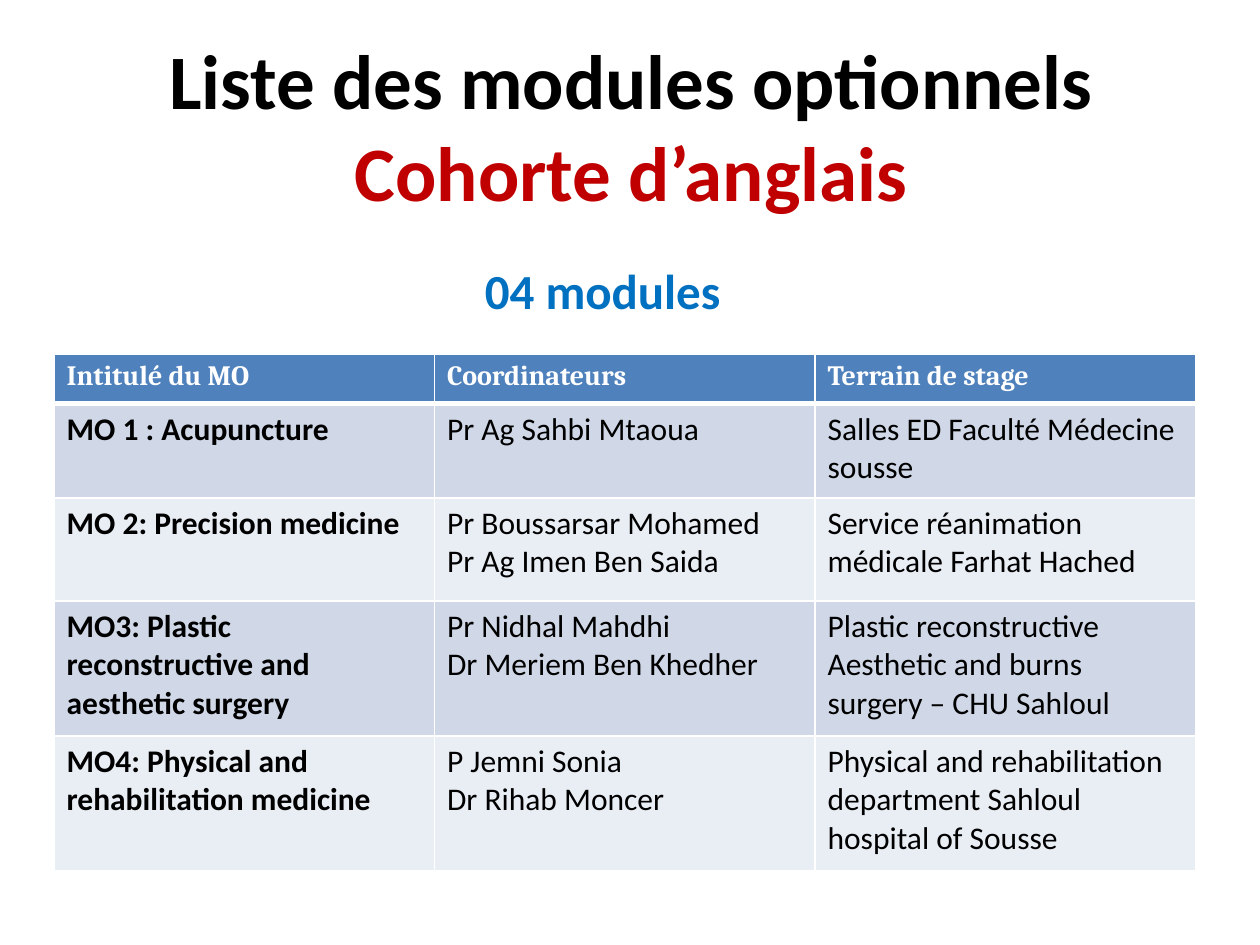
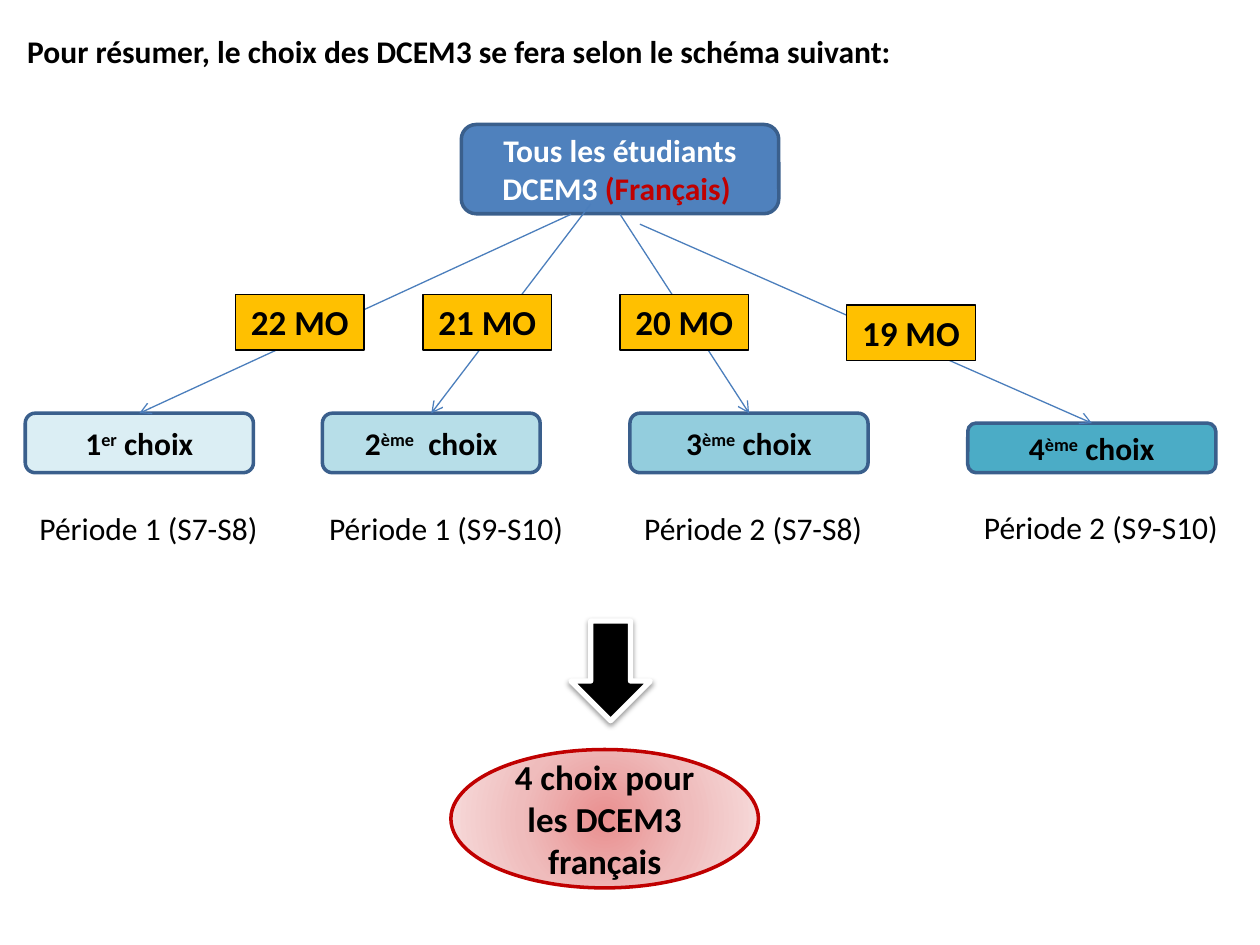
from lxml import etree
from pptx import Presentation
from pptx.dml.color import RGBColor
from pptx.enum.shapes import MSO_CONNECTOR as CONN, MSO_SHAPE as SHAPE
from pptx.enum.text import MSO_ANCHOR as ANCHOR, PP_ALIGN as ALIGN
from pptx.oxml import parse_xml
from pptx.oxml.ns import nsdecls, qn
from pptx.util import Cm, Pt

BLACK, WHITE, RED = "000000", "FFFFFF", "C00000"
BLUE, DARK_BLUE, LINE_BLUE, SKY = "4F81BD", "3A5F8C", "4B7EBC", "0070C0"
AMBER = "FFC000"
BANDS = ["D0D8E8", "E9EDF4"]
GLOW = [(0, "E98F8F"), (50, "EFBCBC"), (100, "F7DEDE")]

# Content; lengths are in centimetres
TITLE = ["Liste des modules optionnels", [("Cohorte d’anglais", {"color": RED})]]
SUBTITLE = ["04 modules "]
HEADER = ["Intitulé du MO", "Coordinateurs", "Terrain de stage"]
MODULES = [
    ("MO 1 : Acupuncture", ["Pr Ag Sahbi Mtaoua"],
     "Salles ED Faculté Médecine sousse"),
    ("MO 2: Precision medicine", ["Pr Boussarsar Mohamed", "Pr Ag Imen Ben Saida"],
     "Service réanimation médicale Farhat Hached"),
    ("MO3: Plastic reconstructive and aesthetic surgery",
     ["Pr Nidhal Mahdhi", "Dr Meriem Ben Khedher"],
     "Plastic reconstructive Aesthetic and burns surgery – CHU Sahloul"),
    ("MO4: Physical and rehabilitation medicine", ["P Jemni Sonia", "Dr Rihab Moncer"],
     "Physical and rehabilitation department Sahloul hospital of Sousse"),
]
ROW_HEIGHTS = [1.0, 1.9, 2.08, 2.72, 2.72]
COL_WIDTH = 7.67

HEADING = ["Pour résumer, le choix des DCEM3 se fera selon le schéma suivant:"]
ROOT = ["Tous les étudiants", ["DCEM3 ", ("(Français) ", {"color": RED})]]
RESULT = ["4 choix pour les DCEM3 français"]
CHOICE_BOTTOM = 9.53
BRANCHES = [
    dict(rank="1", suffix="er", rest=" choix", fill="DBEEF4", left=0.51, top=8.33, width=4.6,
         start=(11.51, 4.32), badge="22 MO", badge_at=(4.75, 5.94),
         period="Période 1 (S7-S8)", period_at=(0.1, 10.13)),
    dict(rank="2", suffix="ème", rest="  choix", fill="B7DEE8", left=6.5, top=8.33, width=4.39,
         start=(11.91, 4.11), badge="21 MO", badge_at=(8.53, 5.94),
         period="Période 1 (S9-S10)", period_at=(6.1, 10.13)),
    dict(rank="3", suffix="ème", rest=" choix", fill="93CDDD", left=12.7, top=8.33, width=4.8,
         start=(12.5, 4.32), badge="20 MO", badge_at=(12.5, 5.94),
         period="Période 2 (S7-S8)", period_at=(12.29, 10.13)),
    dict(rank="4", suffix="ème", rest=" choix", fill="4BACC6", left=19.51, top=8.53, width=5,
         start=(12.9, 4.52), badge="19 MO", badge_at=(17.07, 6.15),
         period="Période 2 (S9-S10)", period_at=(19.3, 10.11)),
]


def rgb(color):
    return RGBColor.from_string(color)


def write(tf, paragraphs, size=18, color=BLACK, bold=False, font="Calibri", align=ALIGN.CENTER):
    """Each paragraph is a string or a list of runs; a run is a string or (text, changes)."""
    tf.word_wrap = True
    for i, runs in enumerate(paragraphs):
        p = tf.paragraphs[0] if i == 0 else tf.add_paragraph()
        p.alignment = align
        for run in [runs] if isinstance(runs, str) else runs:
            text, changes = (run, {}) if isinstance(run, str) else run
            r = p.add_run()
            r.text = text
            r.font.name, r.font.size, r.font.bold = font, Pt(size), bold
            r.font.color.rgb = rgb(changes.get("color", color))
            if changes.get("superscript"):
                r._r.get_or_add_rPr().set("baseline", "30000")


def add_text(s, at, paragraphs, **fmt):
    sp = s.shapes.add_textbox(*map(Cm, at))
    write(sp.text_frame, paragraphs, **fmt)


def add_box(s, kind, at, fill, line, weight, paragraphs=(), anchor=ANCHOR.MIDDLE, **fmt):
    sp = s.shapes.add_shape(kind, *map(Cm, at))
    sp.shadow.inherit = False
    sp.fill.solid()
    sp.fill.fore_color.rgb = rgb(fill)
    sp.line.color.rgb = rgb(line)
    sp.line.width = Pt(weight)
    sp.text_frame.vertical_anchor = anchor
    write(sp.text_frame, paragraphs, **fmt)
    return sp


def add_arrow(s, start, target):
    """Arrow from a point to the middle of the target's top side."""
    x, y = map(Cm, start)
    c = s.shapes.add_connector(CONN.STRAIGHT, x, y, x, y)
    c.end_connect(target, 0)
    c.line.color.rgb = rgb(LINE_BLUE)
    c.line.width = Pt(0.75)
    etree.SubElement(c.line._get_or_add_ln(), qn("a:tailEnd"), type="arrow")
    etree.SubElement(c._element.spPr, qn("a:effectLst"))


def set_radial_fill(sp, stops):
    gs = "".join(f'<a:gs pos="{pos * 1000}"><a:srgbClr val="{color}"/></a:gs>'
                 for pos, color in stops)
    grad = parse_xml(
        f'<a:gradFill {nsdecls("a")} rotWithShape="1"><a:gsLst>{gs}</a:gsLst><a:path path="circle">'
        '<a:fillToRect l="50000" t="50000" r="50000" b="50000"/></a:path></a:gradFill>')
    spPr = sp._element.spPr
    spPr.replace(spPr.find(qn("a:solidFill")), grad)


def set_shadow(sp, blur, distance, opacity):
    sp._element.spPr.find(qn("a:effectLst")).append(parse_xml(
        f'<a:outerShdw {nsdecls("a")} blurRad="{Pt(blur)}" dist="{Pt(distance)}" dir="5400000" '
        f'rotWithShape="0"><a:srgbClr val="{BLACK}"><a:alpha val="{opacity * 1000}"/>'
        '</a:srgbClr></a:outerShdw>'))


def set_borders(cell, top, bottom):
    tcPr = cell._tc.get_or_add_tcPr()
    for i, (side, weight) in enumerate(dict(L=1, R=1, T=top, B=bottom).items()):
        tcPr.insert(i, parse_xml(
            f'<a:ln{side} {nsdecls("a")} w="{Pt(weight)}"><a:solidFill>'
            f'<a:srgbClr val="{WHITE}"/></a:solidFill></a:ln{side}>'))


def fill_cell(cell, paragraphs, fill, top=1, bottom=1, **fmt):
    write(cell.text_frame, paragraphs, align=ALIGN.LEFT, **fmt)
    cell.fill.solid()
    cell.fill.fore_color.rgb = rgb(fill)
    set_borders(cell, top, bottom)


def build_modules(s):
    add_text(s, (1.3, 0.53, 22.86, 3.18), TITLE, size=44, bold=True)
    size = COL_WIDTH * len(HEADER), sum(ROW_HEIGHTS)
    table = s.shapes.add_table(len(ROW_HEIGHTS), len(HEADER),
                               *map(Cm, (1.09, 7.14, *size))).table
    for col in table.columns:
        col.width = Cm(COL_WIDTH)
    for row, height in zip(table.rows, ROW_HEIGHTS):
        row.height = Cm(height)
    for c, label in enumerate(HEADER):
        fill_cell(table.cell(0, c), [label], BLUE, bottom=3,
                  size=16, color=WHITE, bold=True, font="Cambria")
    for r, (module, coordinators, place) in enumerate(MODULES, 1):
        for c, paragraphs in enumerate(([module], coordinators, [place])):
            fill_cell(table.cell(r, c), paragraphs, BANDS[(r - 1) % 2],
                      top=3 if r == 1 else 1, bold=c == 0)
    add_text(s, (7.7, 5.13, 9.12, 1.45), SUBTITLE, size=28, color=SKY, bold=True)


def build_choices(s):
    add_text(s, (0.3, 0.53, 20.6, 1.02), HEADING, bold=True, align=ALIGN.LEFT)
    add_box(s, SHAPE.ROUNDED_RECTANGLE, (9.3, 2.51, 6.4, 1.8), BLUE, DARK_BLUE, 2,
            ROOT, color=WHITE, bold=True)
    for b in BRANCHES:
        label = [b["rank"], (b["suffix"], {"superscript": True}), b["rest"]]
        at = b["left"], b["top"], b["width"], CHOICE_BOTTOM - b["top"]
        choice = add_box(s, SHAPE.ROUNDED_RECTANGLE, at, b["fill"], DARK_BLUE, 2,
                         [label], bold=True)
        add_arrow(s, b["start"], choice)
        add_box(s, SHAPE.RECTANGLE, (*b["badge_at"], 2.59, 1.12), AMBER, BLACK, 0.75,
                [b["badge"]], anchor=ANCHOR.TOP, size=20, bold=True)
        add_text(s, (*b["period_at"], 5.79, 1.02), [b["period"]])
    result = add_box(s, SHAPE.OVAL, (9.09, 15.11, 6.2, 2.79), GLOW[0][1], RED, 2,
                     RESULT, size=20, bold=True)
    set_radial_fill(result, GLOW)
    arrow = add_box(s, SHAPE.DOWN_ARROW, (11.51, 12.52, 1.6, 2.01), BLACK, WHITE, 3)
    set_shadow(arrow, blur=3.1, distance=1.6, opacity=38)


def main():
    prs = Presentation()
    prs.slide_width, prs.slide_height = Cm(25.4), Cm(19.05)
    for build in (build_modules, build_choices):
        build(prs.slides.add_slide(prs.slide_layouts[6]))
    prs.save("out.pptx")


if __name__ == "__main__":
    main()
